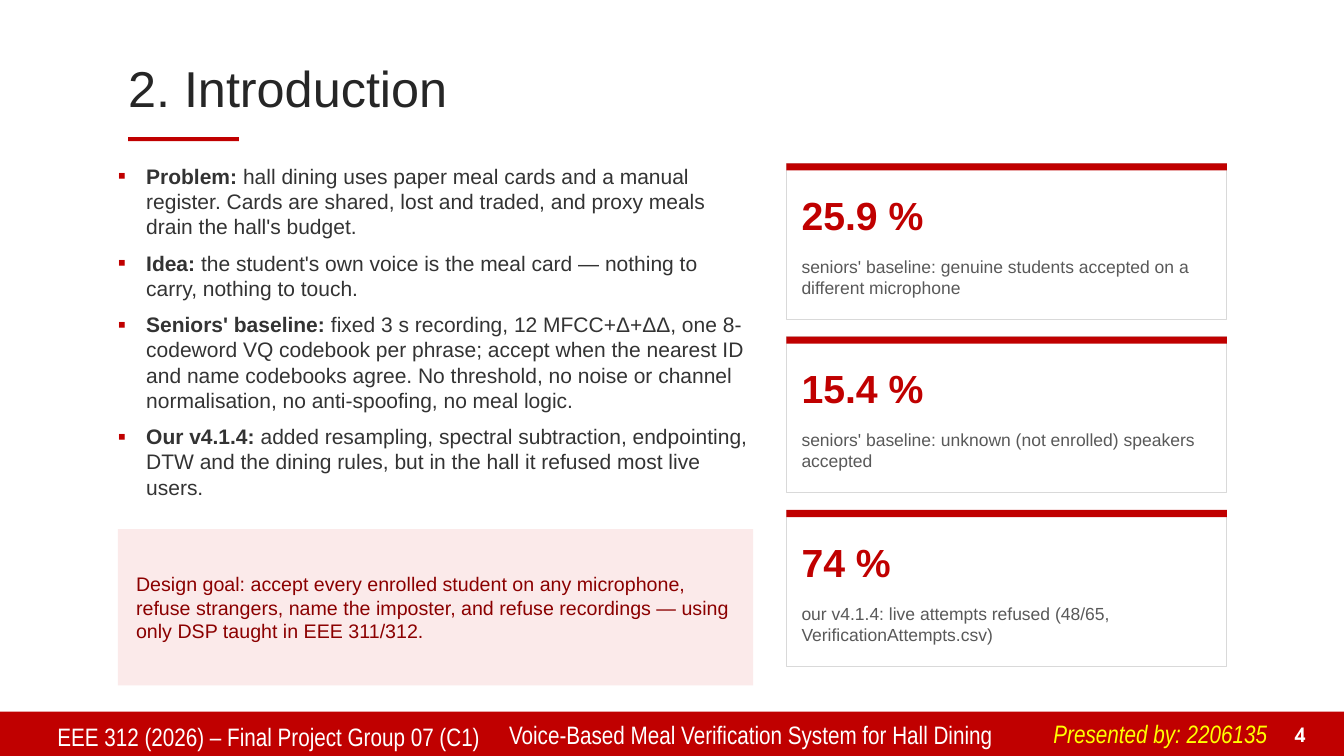
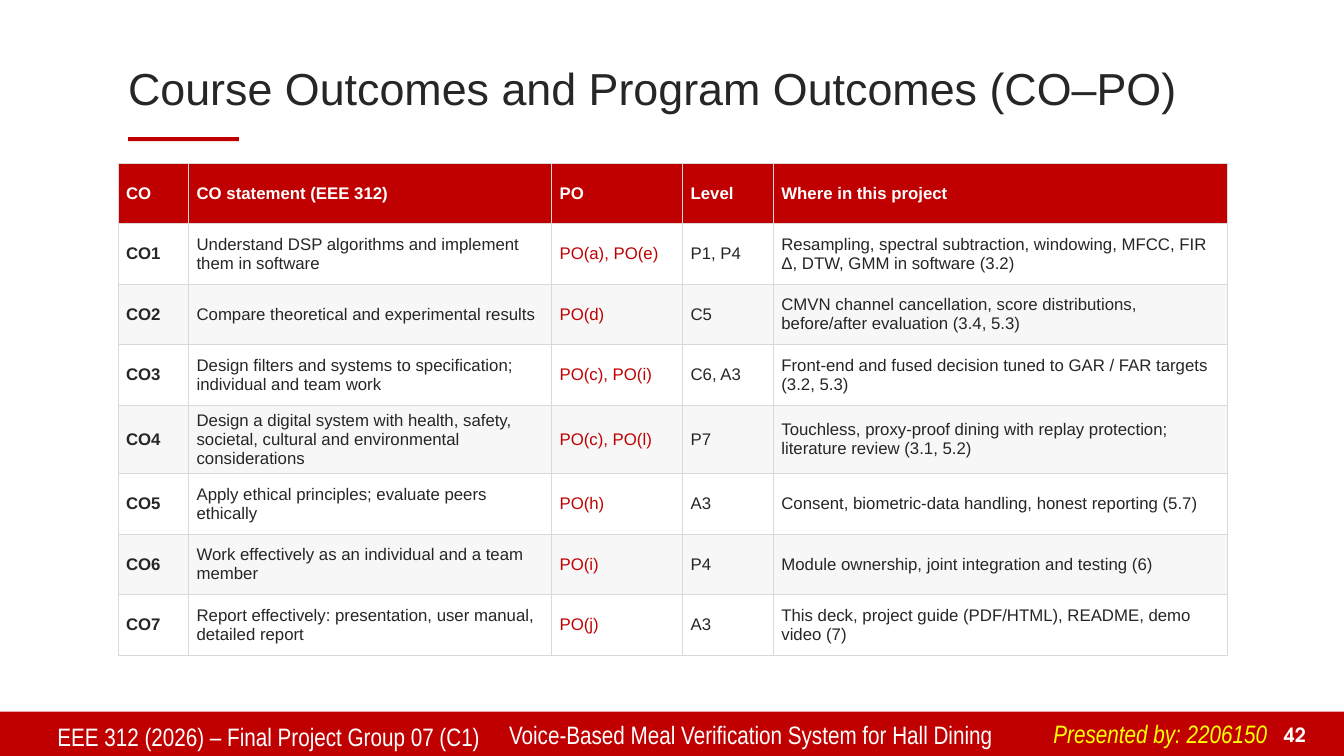
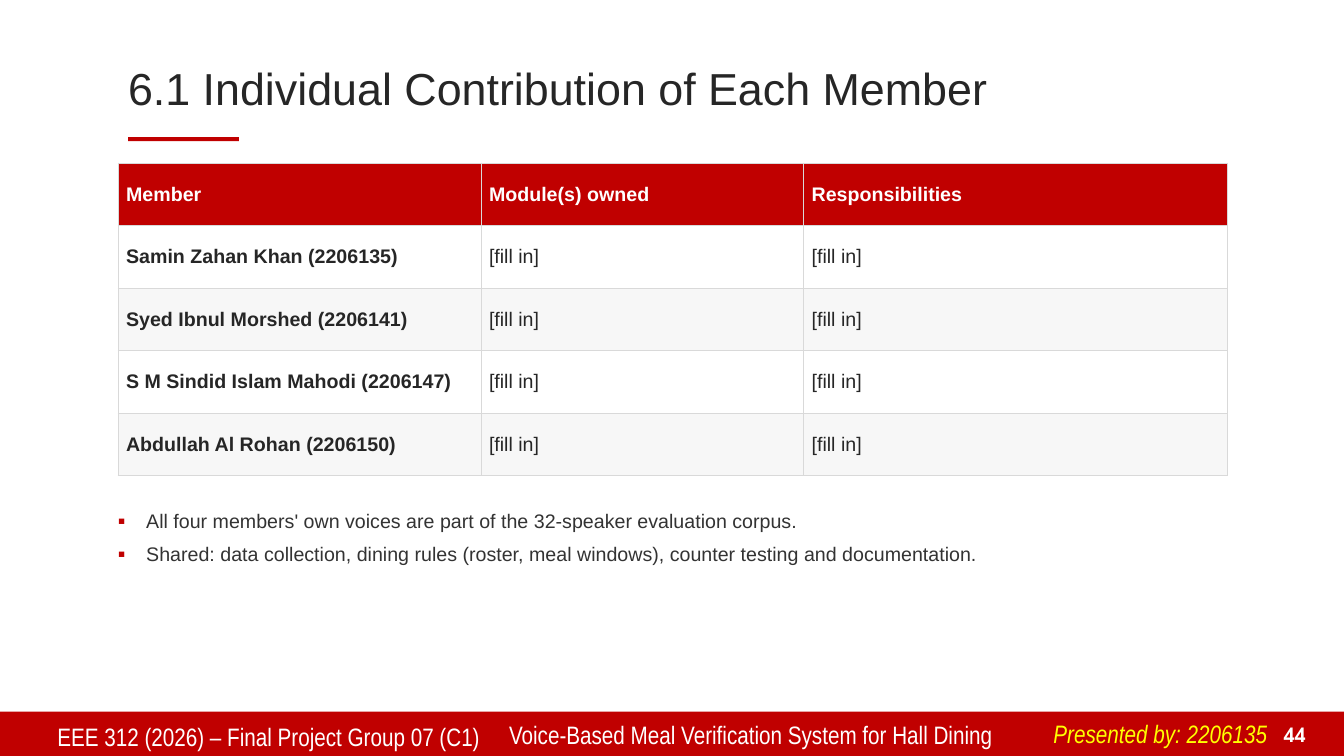
from dataclasses import dataclass
from typing import NamedTuple

from lxml.etree import SubElement
from pptx import Presentation
from pptx.dml.color import RGBColor
from pptx.enum.shapes import MSO_SHAPE as Preset
from pptx.enum.text import MSO_ANCHOR as Anchor, MSO_AUTO_SIZE as AutoSize, PP_ALIGN as Align
from pptx.oxml.ns import qn
from pptx.shapes.autoshape import Shape
from pptx.slide import Slide
from pptx.text.text import TextFrame
from pptx.util import Emu, Pt

EMU_PER_PX = 9144
COLORS = {
    "red": "C00000",
    "dark_red": "8B0000",
    "blush": "FBEAEA",
    "ink": "262626",
    "body": "333333",
    "caption": "595959",
    "rule": "D9D9D9",
    "stripe": "F7F7F7",
    "white": "FFFFFF",
    "yellow": "FFFF00",
}
LEFT, TOP, WIDTH = 117, 162, 1100
CARD_LEFT, CARD_WIDTH, CARD_HEIGHT, CARD_STEP = 780, 437, 155, 172


class Box(NamedTuple):
    left: int
    top: int
    width: int
    height: int


class Point(NamedTuple):
    lead: str
    rest: str


@dataclass
class Style:
    size: float
    color: str
    font: str = "Arial"
    bold: bool = False
    italic: bool = False
    align: Align = Align.LEFT
    anchor: Anchor = Anchor.TOP


@dataclass
class Page:
    title: str
    title_size: int
    number: str
    presenter: str


@dataclass
class Card:
    figure: str
    caption: str


@dataclass
class Grid:
    columns: list[int]
    row_height: int
    size: int
    rows: list[list[str]]
    accent_column: int = -1


FOOTER = Style(18, "white", "Arial Narrow")
PRESENTER = Style(18, "yellow", "Arial Narrow", italic=True)
NUMBER = Style(14, "white", "TeX Gyre Adventor", bold=True, align=Align.RIGHT, anchor=Anchor.BOTTOM)
FIGURE = Style(28, "red", bold=True, anchor=Anchor.MIDDLE)
CAPTION = Style(12.5, "caption")
GOAL = Style(14, "dark_red", anchor=Anchor.MIDDLE)

PAGES = [
    Page("2. Introduction", 36, "4", "2206135"),
    Page("Course Outcomes and Program Outcomes (CO–PO)", 32, "42", "2206150"),
    Page("6.1 Individual Contribution of Each Member", 32, "44", "2206135"),
]
PROBLEM_POINTS = [
    Point("Problem: ", "hall dining uses paper meal cards and a manual register. Cards are shared, "
          "lost and traded, and proxy meals drain the hall's budget."),
    Point("Idea: ", "the student's own voice is the meal card — nothing to carry, nothing to touch."),
    Point("Seniors' baseline: ", "fixed 3 s recording, 12 MFCC+Δ+ΔΔ, one 8-codeword VQ codebook per "
          "phrase; accept when the nearest ID and name codebooks agree. No threshold, no noise or "
          "channel normalisation, no anti-spoofing, no meal logic."),
    Point("Our v4.1.4: ", "added resampling, spectral subtraction, endpointing, DTW and the dining "
          "rules, but in the hall it refused most live users."),
]
DESIGN_GOAL = ("Design goal: accept every enrolled student on any microphone, refuse strangers, name "
               "the imposter, and refuse recordings — using only DSP taught in EEE 311/312.")
CARDS = [
    Card("25.9 %", "seniors' baseline: genuine students accepted on a different microphone"),
    Card("15.4 %", "seniors' baseline: unknown (not enrolled) speakers accepted"),
    Card("74 %", "our v4.1.4: live attempts refused (48/65, VerificationAttempts.csv)"),
]
OUTCOMES = Grid([70, 360, 130, 90, 450], 60, 12, [
    ["CO", "CO statement (EEE 312)", "PO", "Level", "Where in this project"],
    ["CO1", "Understand DSP algorithms and implement them in software", "PO(a), PO(e)", "P1, P4",
     "Resampling, spectral subtraction, windowing, MFCC, FIR Δ, DTW, GMM in software (3.2)"],
    ["CO2", "Compare theoretical and experimental results", "PO(d)", "C5",
     "CMVN channel cancellation, score distributions, before/after evaluation (3.4, 5.3)"],
    ["CO3", "Design filters and systems to specification; individual and team work", "PO(c), PO(i)",
     "C6, A3", "Front-end and fused decision tuned to GAR / FAR targets (3.2, 5.3)"],
    ["CO4", "Design a digital system with health, safety, societal, cultural and environmental "
     "considerations", "PO(c), PO(l)", "P7",
     "Touchless, proxy-proof dining with replay protection; literature review (3.1, 5.2)"],
    ["CO5", "Apply ethical principles; evaluate peers ethically", "PO(h)", "A3",
     "Consent, biometric-data handling, honest reporting (5.7)"],
    ["CO6", "Work effectively as an individual and a team member", "PO(i)", "P4",
     "Module ownership, joint integration and testing (6)"],
    ["CO7", "Report effectively: presentation, user manual, detailed report", "PO(j)", "A3",
     "This deck, project guide (PDF/HTML), README, demo video (7)"],
], accent_column=2)
MEMBERS = [
    "Samin Zahan Khan (2206135)",
    "Syed Ibnul Morshed (2206141)",
    "S M Sindid Islam Mahodi (2206147)",
    "Abdullah Al Rohan (2206150)",
]
CONTRIBUTIONS = Grid([360, 320, 420], 62, 14, [
    ["Member", "Module(s) owned", "Responsibilities"],
    *([member, "[fill in]", "[fill in]"] for member in MEMBERS),
])
SHARED_POINTS = [
    Point("", "All four members' own voices are part of the 32-speaker evaluation corpus."),
    Point("", "Shared: data collection, dining rules (roster, meal windows), counter testing and "
          "documentation."),
]


def px(length: int) -> Emu:
    return Emu(length * EMU_PER_PX)


def rgb(name: str) -> RGBColor:
    return RGBColor.from_string(COLORS[name])


def place(shape: Shape, box: Box) -> None:
    shape.left, shape.top, shape.width, shape.height = map(px, box)


def format_frame(frame: TextFrame, style: Style, inset: bool = True) -> None:
    frame.word_wrap = True
    frame.auto_size = AutoSize.NONE
    frame.vertical_anchor = style.anchor
    if not inset:
        frame.margin_left = frame.margin_right = frame.margin_top = frame.margin_bottom = 0
    for para in frame.paragraphs:
        para.alignment = style.align
        for span in para.runs:
            font = span.font
            font.name, font.size = style.font, Pt(style.size)
            font.bold, font.italic = style.bold, style.italic
            font.color.rgb = rgb(style.color)


def add_text(slide: Slide, box: Box, text: str, style: Style, inset: bool = True) -> None:
    frame = slide.shapes.add_textbox(*map(px, box)).text_frame
    frame.text = text
    format_frame(frame, style, inset)


def add_rect(slide: Slide, box: Box, fill: str, line: str = "") -> Shape:
    rect = slide.shapes.add_shape(Preset.RECTANGLE, *map(px, box))
    rect.shadow.inherit = False
    rect.fill.solid()
    rect.fill.fore_color.rgb = rgb(fill)
    if line:
        rect.line.color.rgb = rgb(line)
        rect.line.width = Pt(0.75)
    else:
        rect.line.fill.background()
    return rect


def fill_bullets(slide: Slide, box: Box, points: list[Point], size: int, gap: int) -> None:
    body = slide.placeholders[1]
    place(body, box)
    frame = body.text_frame
    for index, point in enumerate(points):
        para = frame.add_paragraph() if index else frame.paragraphs[0]
        for text in filter(None, point):
            para.add_run().text = text
        props = para._p.get_or_add_pPr()
        props.set("marL", str(px(28)))
        props.set("indent", str(-px(28)))
        color = SubElement(props, qn("a:buClr"))
        SubElement(color, qn("a:srgbClr"), val=COLORS["red"])
        SubElement(props, qn("a:buSzPct"), val="110000")
        SubElement(props, qn("a:buFont"), typeface="Arial")
        SubElement(props, qn("a:buChar"), char="▪")
        para.space_before, para.space_after = Pt(0), Pt(gap)
    format_frame(frame, Style(size, "body"), inset=False)
    for para, point in zip(frame.paragraphs, points):
        para.runs[0].font.bold = bool(point.lead)


def add_grid(slide: Slide, grid: Grid) -> None:
    box = Box(LEFT, TOP, WIDTH, grid.row_height * len(grid.rows))
    table = slide.shapes.add_table(len(grid.rows), len(grid.columns), *map(px, box)).table
    table.horz_banding = False
    for column, width in zip(table.columns, grid.columns):
        column.width = px(width)
    for row_index, texts in enumerate(grid.rows):
        table.rows[row_index].height = px(grid.row_height)
        for column_index, text in enumerate(texts):
            cell = table.cell(row_index, column_index)
            header = row_index == 0
            accent = column_index == grid.accent_column
            color = "white" if header else "red" if accent else "ink"
            fill = "red" if header else "white" if row_index % 2 else "stripe"
            cell.text = text
            format_frame(cell.text_frame, Style(grid.size, color, bold=header or column_index == 0))
            cell.vertical_anchor = Anchor.MIDDLE
            cell.margin_left = cell.margin_right = px(8)
            cell.margin_top = cell.margin_bottom = px(6)
            props = cell._tc.get_or_add_tcPr()
            for side in ("lnL", "lnR", "lnT", "lnB"):
                border = SubElement(props, qn(f"a:{side}"), w=str(Pt(0.5)))
                solid = SubElement(border, qn("a:solidFill"))
                SubElement(solid, qn("a:srgbClr"), val=COLORS["rule"])
            cell.fill.solid()
            cell.fill.fore_color.rgb = rgb(fill)


def add_card(slide: Slide, top: int, card: Card) -> None:
    add_rect(slide, Box(CARD_LEFT, top, CARD_WIDTH, CARD_HEIGHT), "white", "rule")
    add_rect(slide, Box(CARD_LEFT, top, CARD_WIDTH, 7), "red")
    inner_left, inner_width = CARD_LEFT + 15, CARD_WIDTH - 30
    add_text(slide, Box(inner_left, top + 16, inner_width, 70), card.figure, FIGURE, inset=False)
    add_text(slide, Box(inner_left, top + 92, inner_width, 55), card.caption, CAPTION, inset=False)


def add_page(deck: Presentation, page: Page, layout: int) -> Slide:
    slide = deck.slides.add_slide(deck.slide_layouts[layout])
    title = slide.shapes.title
    place(title, Box(LEFT, 50, WIDTH, 80))
    title.text_frame.text = page.title
    title.text_frame.paragraphs[0].line_spacing = 0.9
    format_frame(title.text_frame, Style(page.title_size, "ink", anchor=Anchor.MIDDLE))
    add_text(slide, Box(47, 711, 445, 39), "EEE 312 (2026) – Final Project Group 07 (C1)", FOOTER)
    add_text(slide, Box(495, 709, 535, 41), "Voice-Based Meal Verification System for Hall Dining", FOOTER)
    add_text(slide, Box(1248, 711, 57, 34), page.number, NUMBER)
    add_text(slide, Box(1035, 708, 242, 40), f"Presented by: {page.presenter}", PRESENTER)
    add_rect(slide, Box(127, 136, 110, 4), "red")
    return slide


def move_band_to_master(deck: Presentation, slide: Slide) -> None:
    band = add_rect(slide, Box(0, 706, 1333, 45), "red").element
    band.nvSpPr.cNvPr.id = 20
    deck.slide_master.shapes.element.append(band)


def main() -> None:
    deck = Presentation()
    deck.slide_width, deck.slide_height = px(1333), px(750)
    introduction, outcomes, contributions = (
        add_page(deck, page, layout) for page, layout in zip(PAGES, (1, 5, 1))
    )
    move_band_to_master(deck, introduction)

    fill_bullets(introduction, Box(LEFT, TOP, 630, 330), PROBLEM_POINTS, size=15, gap=8)
    for index, card in enumerate(CARDS):
        add_card(introduction, TOP + index * CARD_STEP, card)
    add_rect(introduction, Box(LEFT, 525, 630, 155), "blush")
    add_text(introduction, Box(LEFT + 18, 531, 594, 143), DESIGN_GOAL, GOAL, inset=False)

    add_grid(outcomes, OUTCOMES)

    add_grid(contributions, CONTRIBUTIONS)
    fill_bullets(contributions, Box(LEFT, 505, WIDTH, 170), SHARED_POINTS, size=14, gap=7)

    deck.save("out.pptx")


if __name__ == "__main__":
    main()
